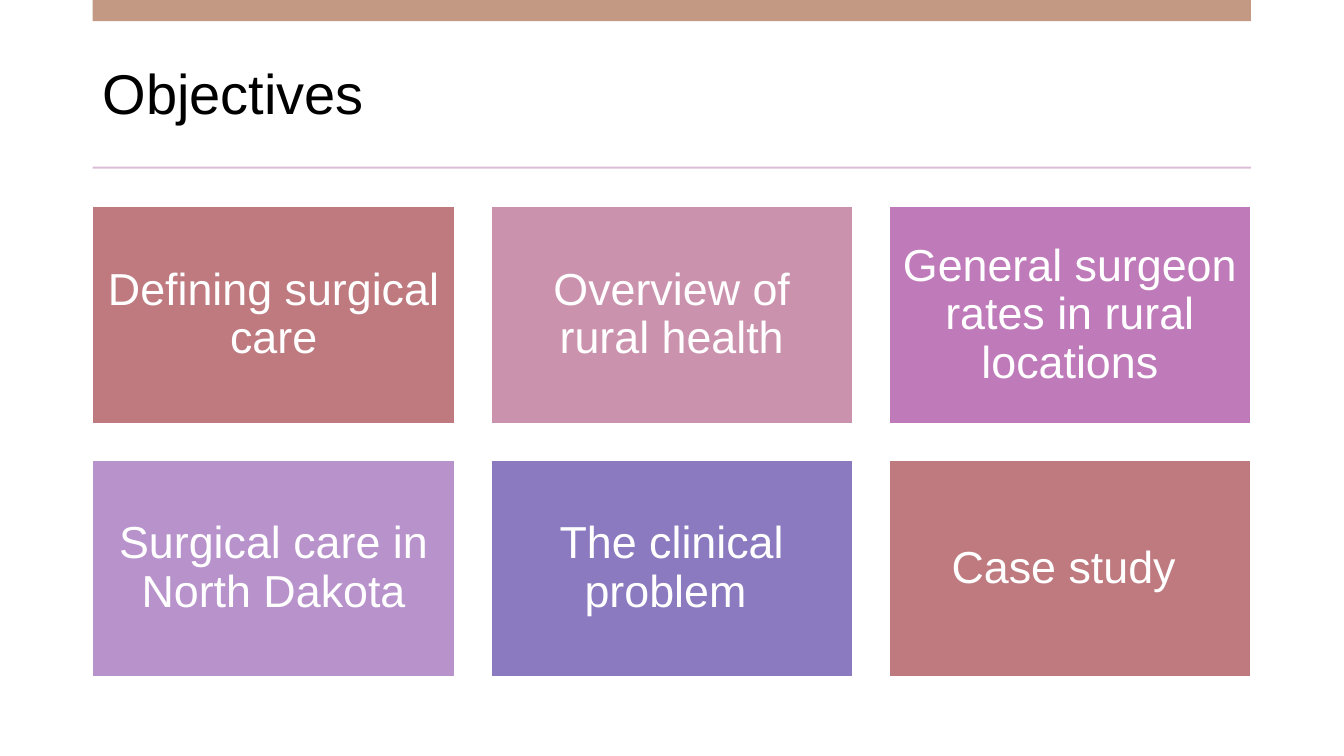
from dataclasses import dataclass
from typing import Any

from pptx import Presentation
from pptx import util as u
from pptx.dml import color as col
from pptx.enum import shapes, text


@dataclass(frozen=True)
class Theme:
    font: str = "Arial"
    ink: str = "000000"
    white: str = "FFFFFF"
    bar: str = "C39983"
    rule: str = "DBBDD8"
    rose: str = "BF7A7F"
    pink: str = "CB92AE"
    orchid: str = "BF7AB9"
    lilac: str = "B892CB"
    violet: str = "8B7ABF"
    head: int = 40
    body: int = 32


@dataclass(frozen=True)
class Box:
    left: float
    top: float
    wide: float
    high: float

    def place(self) -> list[u.Pt]:
        return [u.Pt(n) for n in (self.left, self.top, self.wide, self.high)]


@dataclass(frozen=True)
class Card:
    label: str
    fill: str


THEME = Theme()
LEFT, WIDE = 66.24, 827.28
COLS, TOP = 3, 147.6
CARD_W, CARD_H, GAP = 258.5, 155.1, 25.89
INSET = 9.3

CARDS = [
    Card("Defining surgical care", THEME.rose),
    Card("Overview of rural health", THEME.pink),
    Card("General surgeon rates in rural locations", THEME.orchid),
    Card("Surgical care in North Dakota", THEME.lilac),
    Card("The clinical problem ", THEME.violet),
    Card("Case study ", THEME.rose),
]


def style(item: Any, form: dict[str, Any]) -> None:
    for key, val in form.items():
        setattr(item, key, val)


def add_rect(slide: Any, box: Box, fill: str, edge: str = "") -> Any:
    rect = slide.shapes.add_shape(shapes.MSO_SHAPE.RECTANGLE, *box.place())
    rect.shadow.inherit = False
    rect.fill.solid()
    rect.fill.fore_color.rgb = col.RGBColor.from_string(fill)
    if edge:
        rect.line.color.rgb = col.RGBColor.from_string(edge)
        rect.line.width = u.Pt(1)
    else:
        rect.line.fill.background()
    return rect


def write(shape: Any, words: str, size: int, ink: str, align: Any,
          form: dict[str, Any]) -> None:
    frame = shape.text_frame
    style(frame, {"word_wrap": True,
                  "vertical_anchor": text.MSO_ANCHOR.MIDDLE, **form})
    para = frame.paragraphs[0]
    style(para, {"alignment": align, "line_spacing": 0.9})
    run = para.add_run()
    run.text = words
    style(run.font, {"name": THEME.font, "size": u.Pt(size)})
    run.font.color.rgb = col.RGBColor.from_string(ink)


def add_card(slide: Any, index: int, card: Card) -> None:
    row, place = divmod(index, COLS)
    box = Box(LEFT + place * (CARD_W + GAP), TOP + row * (CARD_H + GAP),
              CARD_W, CARD_H)
    rect = add_rect(slide, box, card.fill, THEME.white)
    sides = ("left", "top", "right", "bottom")
    write(rect, card.label, THEME.body, THEME.white, text.PP_ALIGN.CENTER,
          {f"margin_{side}": u.Pt(INSET) for side in sides})


def main() -> None:
    deck = Presentation()
    style(deck, {"slide_width": u.Pt(960), "slide_height": u.Pt(540)})
    slide = deck.slides.add_slide(deck.slide_layouts[6])

    # Title
    title = slide.shapes.add_textbox(*Box(LEFT, 26.64, WIDE, 84.96).place())
    write(title, "Objectives", THEME.head, THEME.ink, text.PP_ALIGN.LEFT, {})

    # Top bar and thin rule
    add_rect(slide, Box(LEFT, 0, WIDE, 15.12), THEME.bar)
    add_rect(slide, Box(LEFT, 119, WIDE, 1.44), THEME.rule)

    # Grid of objectives
    for index, card in enumerate(CARDS):
        add_card(slide, index, card)

    deck.save("out.pptx")


if __name__ == "__main__":
    main()
